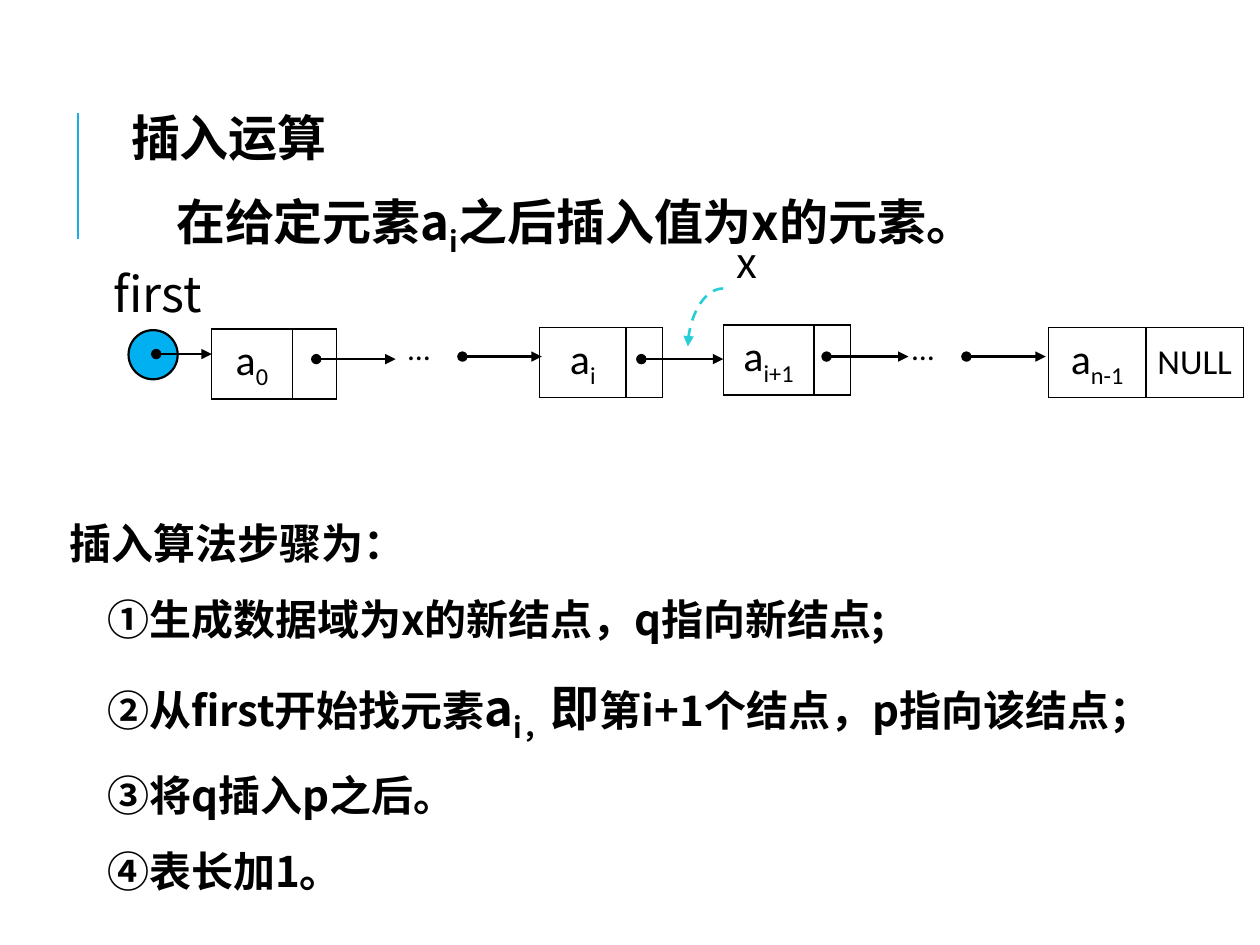
"""Build a slide on inserting an element into a linked list."""
import dataclasses

import pptx
import pptx.dml.color
import pptx.enum.dml
import pptx.enum.shapes
import pptx.enum.text
import pptx.oxml
import pptx.oxml.ns
import pptx.util

qn = pptx.oxml.ns.qn
ANCHOR = pptx.enum.text.MSO_ANCHOR
LINK = pptx.enum.shapes.MSO_CONNECTOR


@dataclasses.dataclass(frozen=True)
class Theme:
    """Hold the colours, fonts and type sizes."""
    ink: str = "000000"
    bar: str = "1CADE4"
    head: str = "00B0F0"
    curve: str = "27CED7"
    sans: str = "Noto Sans CJK SC"
    cell: str = "Calibri"
    big: int = 28
    mid: int = 24
    null: int = 20
    dots: int = 18


THEME = Theme()


def grid(count):
    """Turn grid steps, 100 by 75 to the slide, into a length."""
    return pptx.util.Inches(count / 10)


def tint(code):
    """Turn a hex code into a colour."""
    return pptx.dml.color.RGBColor.from_string(code)


def write(par, parts, size, font=THEME.sans, bold=False):
    """Fill a paragraph with runs; a part is text or (text, size, is low)."""
    for part in parts:
        text, pts, low = (part, size, False) if isinstance(part, str) else part
        run = par.add_run()
        run.text = text
        run.font.size = pptx.util.Pt(pts)
        run.font.name = font
        run.font.bold = bold
        run.font.color.rgb = tint(THEME.ink)
        props = run.font._element
        if low:
            props.set("baseline", "-25000")
        east = props.makeelement(qn("a:ea"), {"typeface": font})
        props.find(qn("a:latin")).addnext(east)


def place(shape, left, top, width, height):
    """Put a shape on the grid."""
    shape.left, shape.top = grid(left), grid(top)
    shape.width, shape.height = grid(width), grid(height)


def label(slide, box, parts, size, font=THEME.sans, bold=False, wrap=True):
    """Add a line of text."""
    frame = slide.shapes.add_textbox(*map(grid, box)).text_frame
    frame.word_wrap = wrap
    write(frame.paragraphs[0], parts, size, font, bold)


def title(slide):
    """Fill the title."""
    shape = slide.shapes.title
    place(shape, 9.4, 8.9, 26.5, 4.9)
    frame = shape.text_frame
    frame.vertical_anchor = ANCHOR.TOP
    par = frame.paragraphs[0]
    par.alignment = pptx.enum.text.PP_ALIGN.LEFT
    par.line_spacing = 0.8
    write(par, ["插入运算"], THEME.big, bold=True)


def steps(slide):
    """List the steps in the body."""
    shape = slide.placeholders[1]
    place(shape, 4.5, 38.6, 97.3, 32.1)
    frame = shape.text_frame
    frame.auto_size = pptx.enum.text.MSO_AUTO_SIZE.NONE
    lines = [
        ["插入算法步骤为："],
        ["①生成数据域为x的新结点，q指向新结点;"],
        ["②从first开始找元素", ("a", THEME.big, False),
         ("i，", THEME.big, True), ("即", THEME.big, False),
         "第i+1个结点，p指向该结点；"],
        ["③将q插入p之后。"],
        ["④表长加1。"],
    ]
    for order, parts in enumerate(lines):
        par = frame.add_paragraph() if order else frame.paragraphs[0]
        props = par._p.get_or_add_pPr()
        props.set("marL", str(grid(3 if order else 0)))
        props.set("indent", "0")
        props.append(props.makeelement(qn("a:buNone"), {}))
        par.line_spacing = 1.5
        par.space_before = pptx.util.Pt(0)
        write(par, parts, THEME.mid, bold=True)


def border(cell):
    """Draw the four edges of a cell."""
    props = cell._tc.get_or_add_tcPr()
    for order, side in enumerate("LRTB"):
        props.insert(order, pptx.oxml.parse_xml(
            f'<a:ln{side} {pptx.oxml.ns.nsdecls("a")} w="12700"><a:solidFill>'
            f'<a:srgbClr val="{THEME.ink}"/></a:solidFill></a:ln{side}>'))


def node(slide, left, top, widths, index, link=""):
    """Add a list node: a data cell and a link cell."""
    box = map(grid, (left, top, sum(widths), 5))
    table = slide.shapes.add_table(1, 2, *box).table
    table.first_row = table.horz_banding = False
    texts = [["a", (index, THEME.mid, True)], [link] if link else []]
    for order, (width, parts) in enumerate(zip(widths, texts)):
        table.columns[order].width = grid(width)
        cell = table.cell(0, order)
        cell.fill.background()
        border(cell)
        cell.vertical_anchor = ANCHOR.MIDDLE
        if order:
            cell.margin_left = cell.margin_right = 0
        par = cell.text_frame.paragraphs[0]
        par.alignment = pptx.enum.text.PP_ALIGN.CENTER
        write(par, parts, THEME.null if order else THEME.mid, THEME.cell)


def line(slide, ends, color, head="", tail="", kind=LINK.STRAIGHT):
    """Add a line with optional ends."""
    shape = slide.shapes.add_connector(kind, *map(grid, ends))
    shape.line.color.rgb = tint(color)
    shape.line.width = pptx.util.Pt(1.5)
    props = shape._element.spPr
    props.append(props.makeelement(qn("a:effectLst"), {}))
    stroke = props.find(qn("a:ln"))
    for tag, form in (("a:headEnd", head), ("a:tailEnd", tail)):
        if form:
            stroke.append(stroke.makeelement(qn(tag), {"type": form}))
    return shape


def arrow(slide, *ends):
    """Add a pointer from a dot to a node."""
    line(slide, ends, THEME.ink, "oval", "triangle")


def bend(slide):
    """Add the dashed curve from x to its place."""
    shape = line(slide, (57.4, 22.9, 54.6, 27.5), THEME.curve,
                 tail="triangle", kind=LINK.CURVE)
    shape.line.dash_style = pptx.enum.dml.MSO_LINE.DASH
    geom = shape._element.spPr.find(qn("a:prstGeom"))
    geom.set("prst", "curvedConnector2")


def start(slide):
    """Add the circle that holds the first pointer."""
    oval = pptx.enum.shapes.MSO_SHAPE.OVAL
    shape = slide.shapes.add_shape(oval, *map(grid, (10.2, 26.2, 3.9, 3.9)))
    shape.shadow.inherit = False
    shape.fill.solid()
    shape.fill.fore_color.rgb = tint(THEME.head)
    shape.line.color.rgb = tint(THEME.ink)
    shape.line.width = pptx.util.Pt(1.25)


def chain(slide):
    """Draw the linked list."""
    node(slide, 16.8, 26.1, (6.4, 3.5), "0")
    node(slide, 42.8, 26, (6.9, 2.9), "i")
    node(slide, 57.4, 25.8, (7.2, 2.9), "i+1")
    node(slide, 83.2, 26, (7.75, 7.75), "n-1", "NULL")
    start(slide)
    for left, right, level in ((12.4, 16.8, 28.1), (25.1, 31.4, 28.5),
                               (36.7, 43, 28.3), (50.9, 57.4, 28.5),
                               (65.6, 72.1, 28.3), (76.7, 83, 28.3)):
        arrow(slide, left, level, right, level)
    for left in (31.4, 71.4):
        label(slide, (left, 25.6, 4.5, 4), ["…"], THEME.dots, THEME.cell,
              wrap=False)


def main():
    """Build and save the slide."""
    deck = pptx.Presentation()
    deck.slide_width, deck.slide_height = grid(100), grid(75)
    slide = deck.slides.add_slide(deck.slide_layouts[1])
    line(slide, (6.2, 19, 6.2, 9), THEME.bar)
    title(slide)
    label(slide, (13, 14.7, 69.3, 5.7),
          ["在给定元素a", ("i", THEME.big, True), "之后插入值为x的元素。"],
          THEME.big, bold=True)
    steps(slide)
    chain(slide)
    label(slide, (8, 20.4, 12.2, 5.7), ["first"], THEME.big)
    label(slide, (57.5, 18.3, 9.3, 5), ["x"], THEME.mid)
    bend(slide)
    deck.save("out.pptx")


if __name__ == "__main__":
    main()
